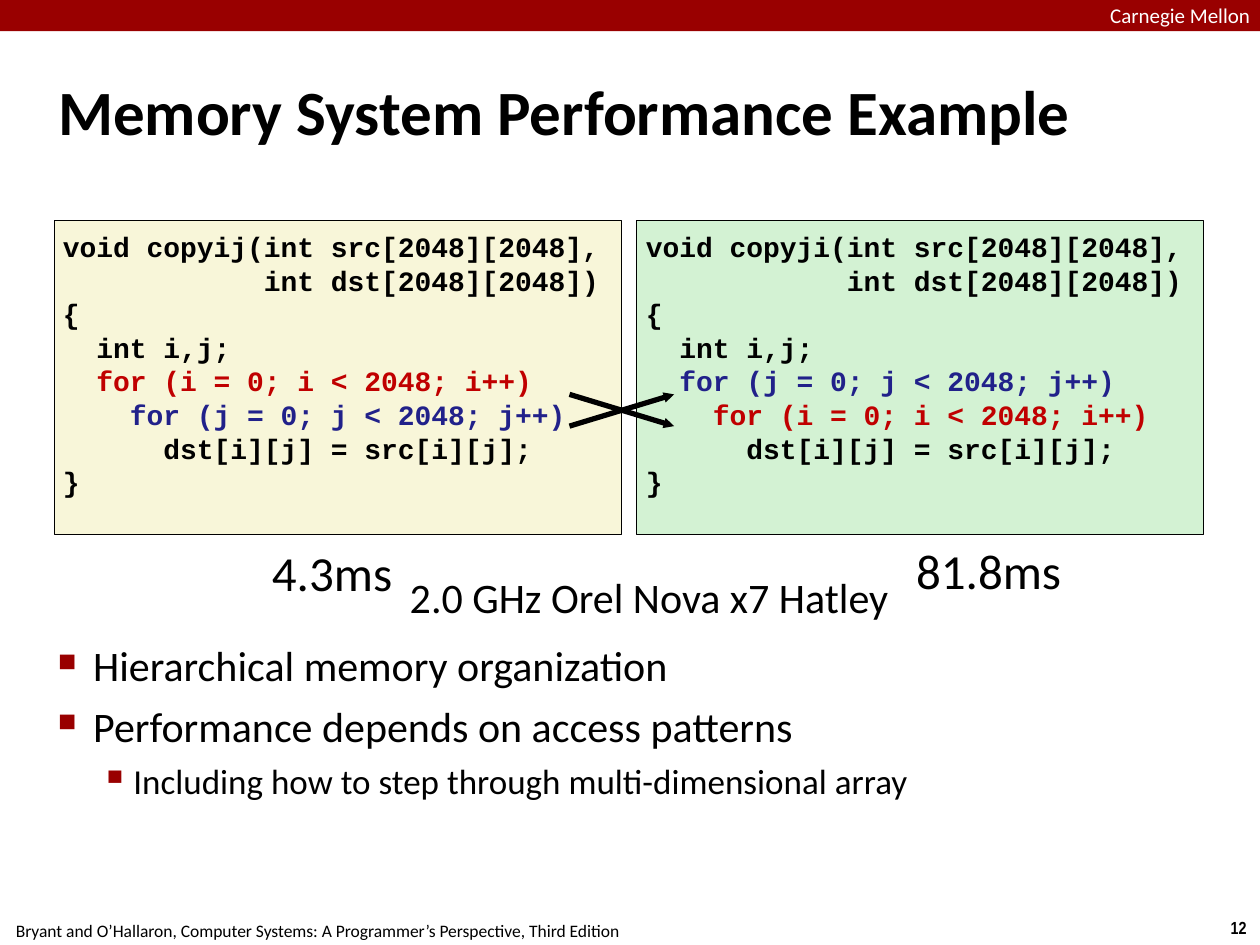
from lxml import etree
from pptx import Presentation
from pptx.dml.color import RGBColor
from pptx.enum import shapes, text
from pptx.oxml.ns import qn
from pptx.util import Cm, Pt

BLACK = RGBColor(0x00, 0x00, 0x00)
WHITE = RGBColor(0xFF, 0xFF, 0xFF)
CRIMSON = RGBColor(0x99, 0x00, 0x00)
CREAM = RGBColor(0xF8, 0xF6, 0xD9)
MINT = RGBColor(0xD3, 0xF2, 0xD3)
LOOP_RED = RGBColor(0xC0, 0x00, 0x00)
LOOP_BLUE = RGBColor(0x21, 0x21, 0x8A)
LOOP_COLORS = {"i": LOOP_RED, "j": LOOP_BLUE}
TITLE_ONLY = 5


def place(box):
    return [Cm(length) for length in box]


def set_margins(frame, horizontal, vertical):
    frame.margin_left = frame.margin_right = Cm(horizontal)
    frame.margin_top = frame.margin_bottom = Cm(vertical)


def format_run(run, size, color=BLACK, bold=False, name="Calibri"):
    run.font.name = name
    run.font.size = Pt(size)
    run.font.bold = bold
    run.font.color.rgb = color


def set_indent(paragraph, left, hanging):
    properties = paragraph._p.get_or_add_pPr()
    properties.set("marL", str(Cm(left)))
    properties.set("indent", str(-Cm(hanging)))
    return properties


def add_box(slide, box, fill):
    shape = slide.shapes.add_shape(shapes.MSO_SHAPE.RECTANGLE, *place(box))
    shape.shadow.inherit = False
    shape.fill.solid()
    shape.fill.fore_color.rgb = fill
    return shape


def add_label(slide, box, words, size, margins=(0.1, 0.1),
              align=text.PP_ALIGN.CENTER, **style):
    frame = slide.shapes.add_textbox(*place(box)).text_frame
    frame.word_wrap = False
    frame.auto_size = text.MSO_AUTO_SIZE.SHAPE_TO_FIT_TEXT
    set_margins(frame, *margins)
    frame.text = words
    frame.paragraphs[0].alignment = align
    format_run(frame.paragraphs[0].runs[0], size, **style)


def add_header(slide, box):
    left, top, width, height = box
    add_box(slide, box, CRIMSON).line.fill.background()
    add_label(slide, (left + width - 3.02, top + 0.05, 2.9, height - 0.15),
              "Carnegie Mellon", 12, (0, 0), text.PP_ALIGN.LEFT, color=WHITE)


def add_footer(slide, box):
    left, top, width, height = box
    add_label(slide, (left - 0.05, top + 0.05, 12.9, height),
              "Bryant and O’Hallaron, Computer Systems: "
              "A Programmer’s Perspective, Third Edition", 10, (0.25, 0.13))
    add_label(slide, (left + width - 0.86, top, 0.86, height),
              "12", 10, (0.25, 0.13), bold=True, name="Arial Narrow")


def set_title(slide, box, words):
    title = slide.shapes.title
    title.left, title.top, title.width, title.height = place(box)
    frame = title.text_frame
    frame.text = words
    frame.vertical_anchor = text.MSO_ANCHOR.MIDDLE
    set_margins(frame, 0.1, 0.1)
    paragraph = frame.paragraphs[0]
    paragraph.alignment = text.PP_ALIGN.LEFT
    set_indent(paragraph, 0.33, 0.33)
    format_run(paragraph.runs[0], 36, bold=True)


def add_code(slide, box, fill, outer, inner):
    """Show the copy function with its two loops in the given order."""
    shape = add_box(slide, box, fill)
    shape.line.color.rgb = BLACK
    shape.line.width = Pt(0.5)
    frame = shape.text_frame
    frame.word_wrap = True
    frame.vertical_anchor = text.MSO_ANCHOR.TOP
    set_margins(frame, 0.18, 0.18)

    def loop(index):
        return f"for ({index} = 0; {index} < 2048; {index}++)"

    lines = [
        (f"void copy{outer}{inner}(int src[2048][2048],", BLACK),
        (" " * 12 + "int dst[2048][2048])", BLACK),
        ("{", BLACK),
        ("  int i,j;", BLACK),
        ("  " + loop(outer), LOOP_COLORS[outer]),
        ("    " + loop(inner), LOOP_COLORS[inner]),
        ("      dst[i][j] = src[i][j];", BLACK),
        ("}", BLACK),
    ]
    frame.text = "\n".join(line for line, _ in lines)
    for paragraph, (_, color) in zip(frame.paragraphs, lines):
        paragraph.alignment = text.PP_ALIGN.LEFT
        format_run(paragraph.runs[0], 16, color, True, "Courier New")


def add_arrow(slide, start, end):
    arrow = slide.shapes.add_connector(
        shapes.MSO_CONNECTOR.STRAIGHT, *place(start + end))
    arrow.line.color.rgb = BLACK
    arrow.line.width = Pt(3)
    etree.SubElement(arrow.line._get_or_add_ln(), qn("a:tailEnd"),
                     type="triangle", w="sm", len="sm")
    etree.SubElement(arrow._element.spPr, qn("a:effectLst"))


def add_swap_arrows(slide, box):
    left, top, width, height = box
    right, bottom = left + width, top + height
    add_arrow(slide, (left, top), (right, bottom))
    add_arrow(slide, (left, bottom), (right, top))


def add_timings(slide, box):
    left, top, width, height = box
    add_label(slide, (left, top, 2.97, 1.45), "4.3ms", 28, (0.25, 0.13))
    add_label(slide, (left + width - 3.18, top, 3.18, 1.42), "81.8ms", 28)
    add_label(slide, (left + 2.77, top + 0.63, 10.21, height - 0.63),
              "2.0 GHz Orel Nova x7 Hatley", 24)


def add_bullet(paragraph, character, percent):
    properties = paragraph._p.get_or_add_pPr()
    color = etree.SubElement(properties, qn("a:buClr"))
    etree.SubElement(color, qn("a:srgbClr"), val=str(CRIMSON))
    etree.SubElement(properties, qn("a:buSzPct"), val=str(percent * 1000))
    etree.SubElement(properties, qn("a:buChar"), char=character)


def add_bullets(slide, box):
    # Character, its size in percent, left indent, hanging, text size, space before
    levels = [("■", 60, 0.71, 0.71, 24, 6), ("▪", 110, 1.52, 0.66, 20, 5)]
    items = [
        ("Hierarchical memory organization", 0),
        ("Performance depends on access patterns", 0),
        ("Including how to step through multi-dimensional array", 1),
    ]
    frame = slide.shapes.add_textbox(*place(box)).text_frame
    frame.word_wrap = True
    set_margins(frame, 0.1, 0.1)
    frame.text = "\n".join(words for words, _ in items)
    for number, (paragraph, (_, level)) in enumerate(zip(frame.paragraphs, items)):
        character, percent, left, hanging, size, space = levels[level]
        paragraph.level = level
        set_indent(paragraph, left, hanging)
        add_bullet(paragraph, character, percent)
        if number:
            paragraph.space_before = Pt(space)
        format_run(paragraph.runs[0], size)


def main():
    presentation = Presentation()
    presentation.slide_width, presentation.slide_height = Cm(25.4), Cm(19.05)
    slide = presentation.slides.add_slide(presentation.slide_layouts[TITLE_ONLY])

    # Frame of the slide
    add_footer(slide, (0, 18.36, 25.4, 0.69))
    add_header(slide, (0, 0, 25.4, 0.63))
    set_title(slide, (1.07, 0.71, 23.29, 3.02), "Memory System Performance Example")

    # Two loop orders side by side
    add_code(slide, (1.09, 4.45, 11.43, 6.32), CREAM, "i", "j")
    add_code(slide, (12.84, 4.45, 11.43, 6.32), MINT, "j", "i")
    add_swap_arrows(slide, (11.48, 7.95, 2.11, 0.64))

    # Results and conclusions
    add_timings(slide, (5.21, 10.8, 16.31, 1.87))
    add_bullets(slide, (1.07, 12.8, 23.29, 6.17))

    presentation.save("out.pptx")


if __name__ == "__main__":
    main()
